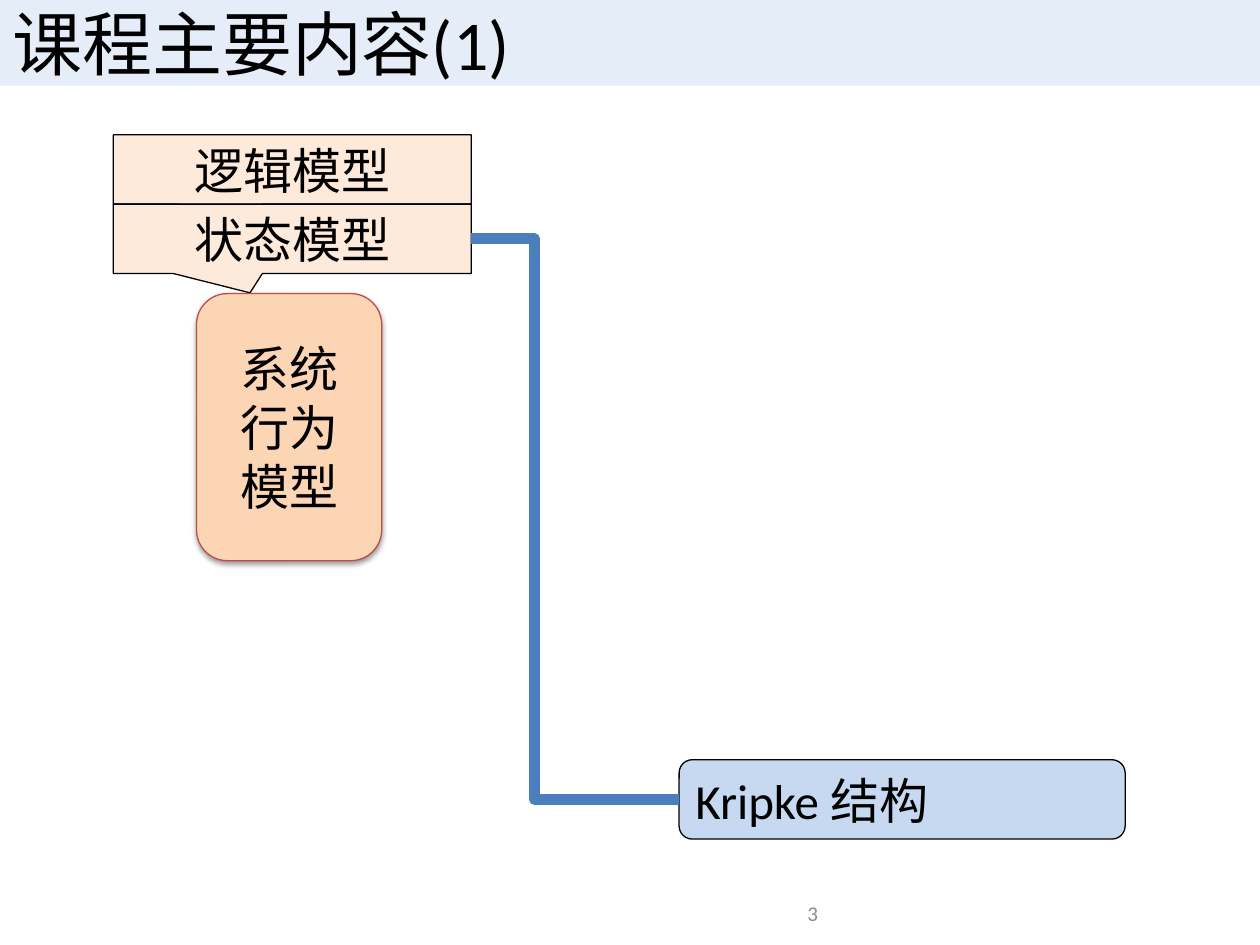
from lxml import etree
from pptx import Presentation
from pptx.dml.color import RGBColor
from pptx.enum.shapes import MSO_CONNECTOR, MSO_SHAPE
from pptx.enum.text import MSO_ANCHOR, PP_ALIGN
from pptx.oxml.ns import qn
from pptx.util import Inches, Pt

RECTANGLE = MSO_SHAPE.RECTANGLE
CALLOUT = MSO_SHAPE.RECTANGULAR_CALLOUT
ROUNDED = MSO_SHAPE.ROUNDED_RECTANGLE
PROCESS = MSO_SHAPE.FLOWCHART_ALTERNATE_PROCESS
LEFT, CENTER, RIGHT = PP_ALIGN.LEFT, PP_ALIGN.CENTER, PP_ALIGN.RIGHT
LEFT_SITE, RIGHT_SITE = 1, 3

BLACK = RGBColor(0x00, 0x00, 0x00)
GRAY = RGBColor(0x8C, 0x8C, 0x8C)
PALE_BLUE = RGBColor(0xC6, 0xD9, 0xF1)
PALE_ORANGE = RGBColor(0xFD, 0xEA, 0xDA)
ORANGE = RGBColor(0xFC, 0xD5, 0xB5)
RED = RGBColor(0xBF, 0x4C, 0x48)
BLUE = RGBColor(0x4B, 0x7E, 0xBC)

FONT = "Calibri"
SLIDE_WIDTH, SLIDE_HEIGHT = 10, 7.5
MODEL_LEFT, MODEL_TOP, MODEL_WIDTH, MODEL_HEIGHT = 0.9, 1.07, 2.84, 0.55
MODELS = [("逻辑模型", (-0.098, 0.503)), ("状态模型", (-0.118, 0.78))]


def write(shape, text, size, color=BLACK, align=LEFT, anchor=MSO_ANCHOR.MIDDLE, wrap=True):
    frame = shape.text_frame
    frame.text = text
    frame.word_wrap = wrap
    frame.vertical_anchor = anchor
    paragraph = frame.paragraphs[0]
    paragraph.alignment = align
    for run in paragraph.runs:
        run.font.name = FONT
        run.font.size = Pt(size)
        run.font.color.rgb = color


def add_box(slide, kind, bounds, fill, line=None):
    shape = slide.shapes.add_shape(kind, *map(Inches, bounds))
    shape.shadow.inherit = False
    shape.fill.solid()
    shape.fill.fore_color.rgb = fill
    if line is None:
        shape.line.fill.background()
    else:
        shape.line.color.rgb = line
        shape.line.width = Pt(0.75)
    return shape


def add_title(slide, text):
    band = add_box(slide, RECTANGLE, (0, 0, SLIDE_WIDTH, 0.68), PALE_BLUE)
    color = band._element.spPr.find(qn("a:solidFill"))[0]
    etree.SubElement(color, qn("a:alpha"), val="47000")
    write(band, text, 40)


def add_model(slide, row, text, pointer):
    top = MODEL_TOP + row * MODEL_HEIGHT
    model = add_box(slide, CALLOUT, (MODEL_LEFT, top, MODEL_WIDTH, MODEL_HEIGHT),
                    PALE_ORANGE, BLACK)
    model.adjustments[0], model.adjustments[1] = pointer
    write(model, text, 28, align=CENTER, wrap=False)
    return model


def add_soft_shadow(shape):
    effects = shape._element.spPr.find(qn("a:effectLst"))
    shadow = etree.SubElement(effects, qn("a:outerShdw"), blurRad=str(Pt(3.1)),
                              dist=str(Pt(1.6)), dir="5400000", rotWithShape="0")
    color = etree.SubElement(shadow, qn("a:srgbClr"), val=str(BLACK))
    etree.SubElement(color, qn("a:alpha"), val="38000")


def add_elbow(slide, start, end, bend):
    """Join start's right side to end's left side, turning at the share bend."""
    connector = slide.shapes.add_connector(MSO_CONNECTOR.ELBOW, 0, 0, 0, 0)
    connector.begin_connect(start, RIGHT_SITE)
    connector.end_connect(end, LEFT_SITE)
    connector.line.color.rgb = BLUE
    connector.line.width = Pt(6)
    properties = connector._element.spPr
    guides = properties.find(qn("a:prstGeom")).get_or_add_avLst()
    etree.SubElement(guides, qn("a:gd"), name="adj1", fmla=f"val {round(bend * 100000)}")
    etree.SubElement(properties, qn("a:effectLst"))


def add_page_number(slide, text):
    box = slide.shapes.add_textbox(*map(Inches, (3.42, 6.95, 3.17, 0.4)))
    box.text_frame.margin_bottom = 0
    write(box, text, 12, GRAY, RIGHT, MSO_ANCHOR.BOTTOM)


def main():
    presentation = Presentation()
    presentation.slide_width = Inches(SLIDE_WIDTH)
    presentation.slide_height = Inches(SLIDE_HEIGHT)
    slide = presentation.slides.add_slide(presentation.slide_layouts[6])

    add_page_number(slide, "3")
    add_title(slide, "课程主要内容(1)")
    models = [add_model(slide, row, *model) for row, model in enumerate(MODELS)]

    kripke = add_box(slide, PROCESS, (5.39, 6.03, 3.54, 0.63), PALE_BLUE, BLACK)
    write(kripke, "Kripke 结构", 28, wrap=False)
    add_elbow(slide, models[-1], kripke, 0.304)

    behavior = add_box(slide, ROUNDED, (1.56, 2.33, 1.47, 2.12), ORANGE, RED)
    add_soft_shadow(behavior)
    write(behavior, "系统行为模型", 28, align=CENTER)

    presentation.save("out.pptx")


if __name__ == "__main__":
    main()
